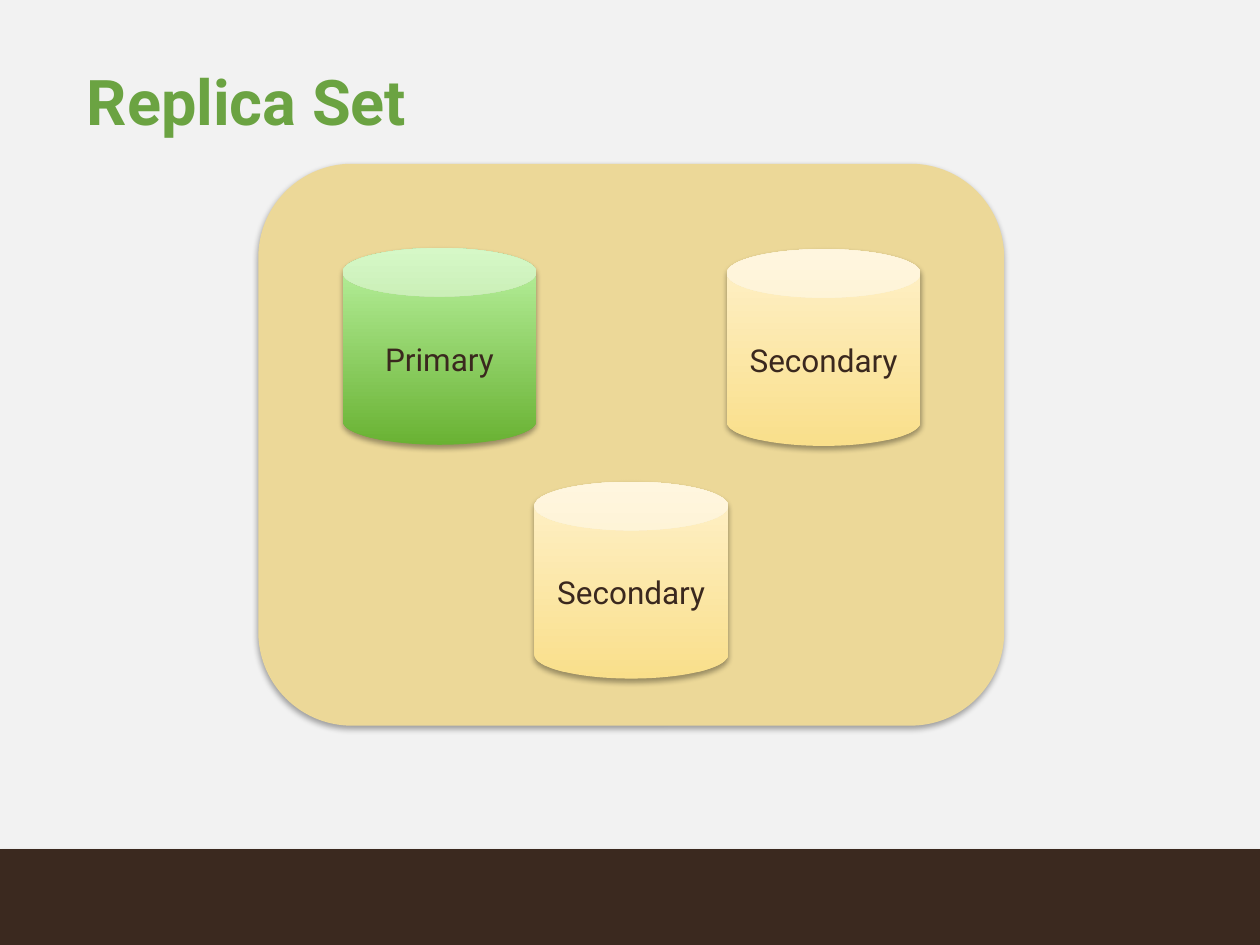
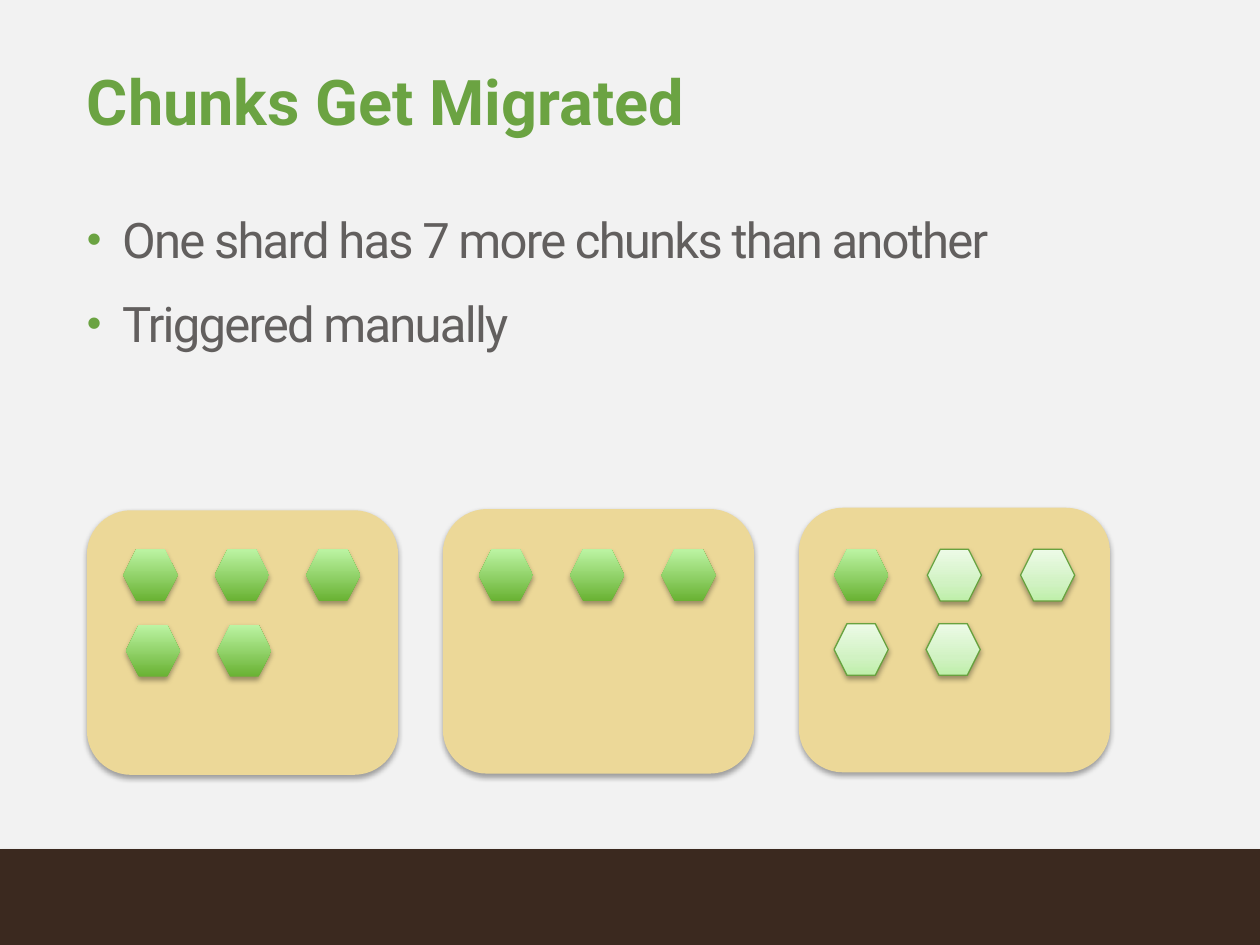
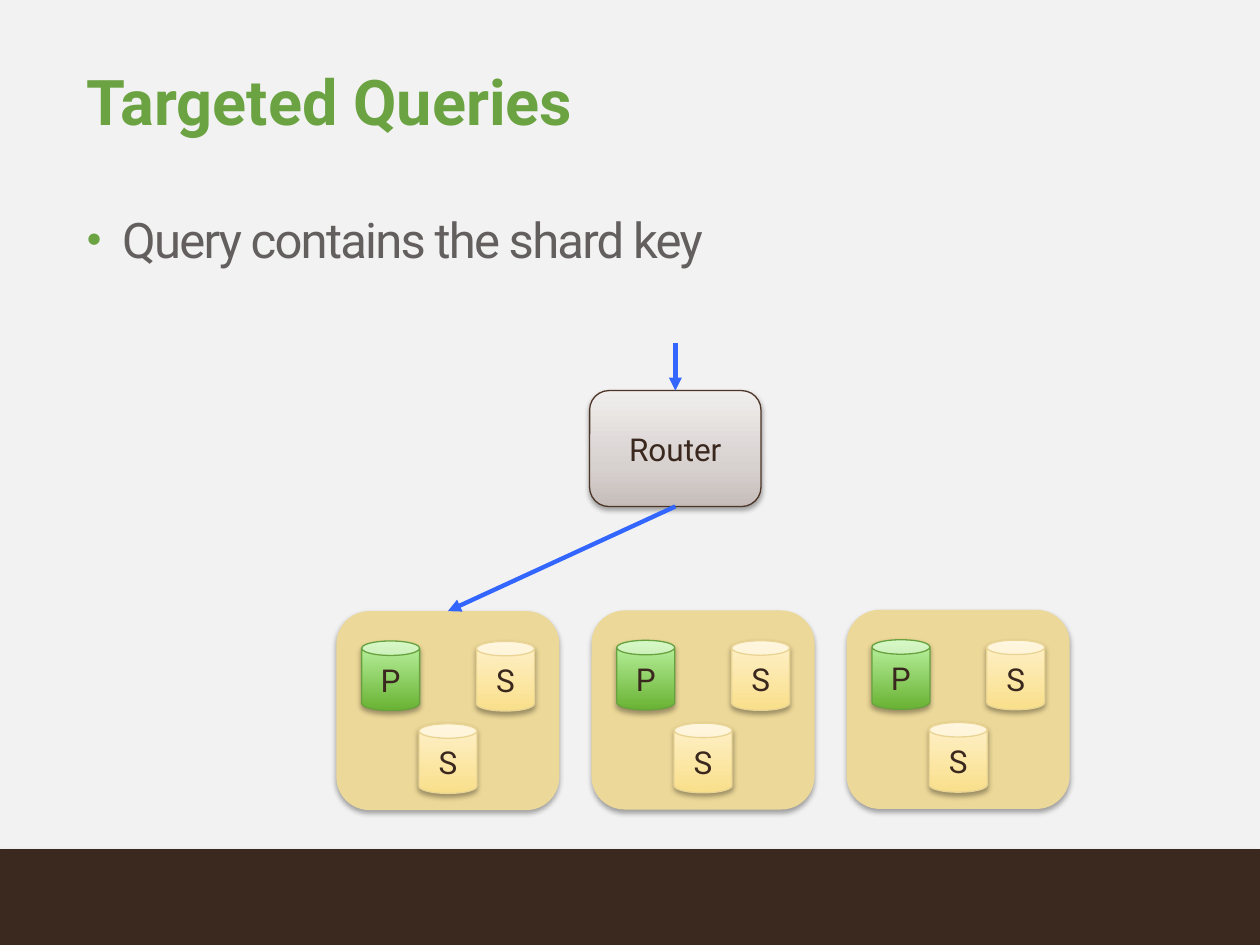
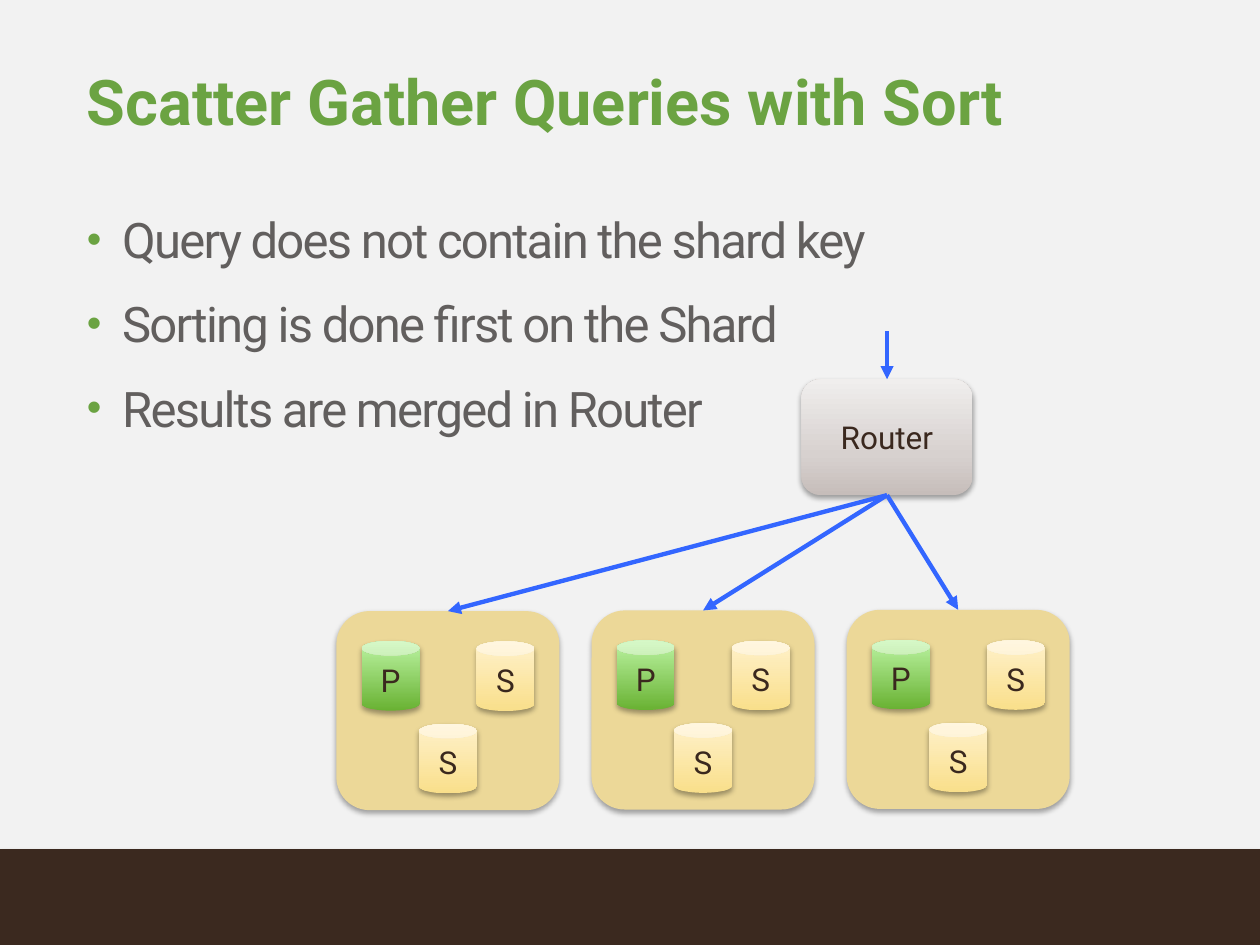
"""Build four slides on replica sets, chunk migration and sharded queries."""
from lxml import etree
from pptx import Presentation
from pptx.dml.color import RGBColor
from pptx.enum.shapes import MSO_CONNECTOR, MSO_SHAPE
from pptx.enum.text import MSO_ANCHOR, PP_ALIGN
from pptx.oxml.ns import qn
from pptx.util import Inches, Pt

RECTANGLE = MSO_SHAPE.RECTANGLE
ROUNDED = MSO_SHAPE.ROUNDED_RECTANGLE
CAN = MSO_SHAPE.CAN
HEXAGON = MSO_SHAPE.HEXAGON
STRAIGHT = MSO_CONNECTOR.STRAIGHT
MIDDLE = MSO_ANCHOR.MIDDLE
CENTER = PP_ALIGN.CENTER

CELL = Inches(0.1)
COLUMNS, ROWS = 100, 75
MARGIN, CONTENT_WIDTH = 6.9, 86.4
BAND_TOP = 67.4

FONT = "Roboto"
BACKGROUND = "F2F2F2"
BAND = "3B291F"
TITLE = "6BA342"
BODY = "625F5E"
LABEL = "3A281E"
ARROW = "3366FF"
SAND = [(0, "ECD898")]
GREEN = [(0, "69B233"), (100, "BCF4A3")]
CREAM = [(0, "F9DF8B"), (100, "FFF1CA")]
PALE_GREEN = [(0, "BEEFA9"), (35, "D1F2C3"), (100, "EDFBE7")]
GREY = [(0, "C6BDBA"), (35, "D7D1CF"), (100, "F0EEED")]
GREEN_LINE, CREAM_LINE, GREY_LINE = "68A23E", "E9D493", "4D3527"


def rgb(color):
    """Turn a hex string into a colour."""
    return RGBColor.from_string(color)


def add_block(slide, kind, left, top, width, height, stops, line=None, label=""):
    """Add a shadowed shape, placed in grid cells, with a plain or gradient fill."""
    shape = slide.shapes.add_shape(
        kind, *(round(length * CELL) for length in (left, top, width, height)))
    if len(stops) == 1:
        shape.fill.solid()
        shape.fill.fore_color.rgb = rgb(stops[0][1])
    else:
        shape.fill.gradient()
        shape.fill.gradient_angle = 90
        stop_list = shape.element.spPr.find(".//" + qn("a:gsLst"))
        for old_stop in list(stop_list):
            stop_list.remove(old_stop)
        for position, color in stops:
            stop = etree.SubElement(stop_list, qn("a:gs"), pos=str(position * 1000))
            etree.SubElement(stop, qn("a:srgbClr"), val=color)
    if line:
        shape.line.color.rgb = rgb(line)
        shape.line.width = Pt(0.75)
    else:
        shape.line.fill.background()
    shape.shadow.inherit = False
    shadow = etree.SubElement(
        shape.element.spPr.find(qn("a:effectLst")), qn("a:outerShdw"),
        blurRad=str(Pt(3.1)), dist=str(Pt(1.8)), dir="5400000", rotWithShape="0")
    shadow_color = etree.SubElement(shadow, qn("a:srgbClr"), val="000000")
    etree.SubElement(shadow_color, qn("a:alpha"), val="35000")
    if label:
        shape.text_frame.text = label
        shape.text_frame.vertical_anchor = MIDDLE
        paragraph = shape.text_frame.paragraphs[0]
        paragraph.alignment = CENTER
        paragraph.font.name = FONT
        paragraph.font.size = Pt(18)
        paragraph.font.color.rgb = rgb(LABEL)


presentation = Presentation()
presentation.slide_width = COLUMNS * CELL
presentation.slide_height = ROWS * CELL

contents = [
    ("Replica Set", []),
    ("Chunks Get Migrated",
     ["One shard has 7 more chunks than another", "Triggered manually"]),
    ("Targeted Queries", ["Query contains the shard key"]),
    ("Scatter Gather Queries with Sort",
     ["Query does not contain the shard key",
      "Sorting is done first on the Shard",
      "Results are merged in Router"]),
]

for title, bullets in contents:
    slide = presentation.slides.add_slide(presentation.slide_layouts[6])
    slide.background.fill.solid()
    slide.background.fill.fore_color.rgb = rgb(BACKGROUND)
    add_block(slide, RECTANGLE, 0, BAND_TOP, COLUMNS, ROWS - BAND_TOP, [(0, BAND)])

    for top, height, lines in ((3.7, 9.3, [title]), (16.4, 47.8, bullets)):
        if not lines:
            continue
        box = slide.shapes.add_textbox(
            *(round(length * CELL) for length in (MARGIN, top, CONTENT_WIDTH, height)))
        frame = box.text_frame
        frame.word_wrap = True
        frame.margin_left = frame.margin_right = frame.margin_top = frame.margin_bottom = 0
        frame.text = "\n".join(lines)
        if lines is not bullets:
            frame.vertical_anchor = MIDDLE
            paragraph = frame.paragraphs[0]
            paragraph.line_spacing = 0.9
            paragraph.font.name = FONT
            paragraph.font.size = Pt(36)
            paragraph.font.bold = True
            paragraph.font.color.rgb = rgb(TITLE)
            continue
        for number, paragraph in enumerate(frame.paragraphs):
            properties = paragraph._p.get_or_add_pPr()
            properties.set("marL", str(Inches(0.28)))
            properties.set("indent", str(-Inches(0.28)))
            bullet_color = etree.SubElement(properties, qn("a:buClr"))
            etree.SubElement(bullet_color, qn("a:srgbClr"), val=TITLE)
            etree.SubElement(properties, qn("a:buSzPct"), val="85000")
            etree.SubElement(properties, qn("a:buFont"), typeface="Arial")
            etree.SubElement(properties, qn("a:buChar"), char="•")
            paragraph.line_spacing = Pt(35.4)
            paragraph.space_before = Pt(12.7 if number else 0)
            run = paragraph.runs[0]
            run.font.name = FONT
            run.font.size = Pt(28)
            run.font.color.rgb = rgb(BODY)
            run._r.get_or_add_rPr().set("spc", "-100")

replica_slide, chunk_slide, targeted_slide, scatter_slide = presentation.slides

shard_places = [(26.7 + 20.25 * index, 48.5 - 0.05 * index) for index in range(3)]
replica_sets = [(replica_slide, 20.5, 13, 59.2, 44.6, "Primary", "Secondary", None, None)]
for left, top in shard_places:
    replica_sets.append(
        (targeted_slide, left, top, 17.7, 15.8, "P", "S", GREEN_LINE, CREAM_LINE))
    replica_sets.append((scatter_slide, left, top, 17.7, 15.8, "P", "S", None, None))

for slide, left, top, width, height, primary, secondary, green_line, cream_line in replica_sets:
    add_block(slide, ROUNDED, left, top, width, height, SAND)
    for across, down, stops, line, label in (
            (11.3, 15, GREEN, green_line, primary),
            (62.8, 15.2, CREAM, cream_line, secondary),
            (37, 56.6, CREAM, cream_line, secondary)):
        add_block(slide, CAN, left + width * across / 100, top + height * down / 100,
                  width * 0.26, height * 0.35, stops, line, label)

for index in range(3):
    add_block(chunk_slide, ROUNDED, MARGIN + 28.25 * index, 40.5 - 0.1 * index,
              24.7, 21, SAND)

chunk_rows = [
    (9.8, 43.6, 7.25, 3, 0),
    (10, 49.6, 7.25, 2, 0),
    (38, 43.6, 7.25, 3, 0),
    (66.2, 43.6, 7.4, 1, 2),
    (66.2, 49.5, 7.3, 0, 2),
]
for left, top, pitch, settled, migrated in chunk_rows:
    for index in range(settled + migrated):
        stops, line = (GREEN, None) if index < settled else (PALE_GREEN, GREEN_LINE)
        add_block(chunk_slide, HEXAGON, left + pitch * index, top, 4.3, 4.1, stops, line)

for slide, left, top, line, targets in (
        (targeted_slide, 46.8, 31, GREY_LINE, shard_places[:1]),
        (scatter_slide, 63.6, 30.1, None, shard_places)):
    add_block(slide, ROUNDED, left, top, 13.6, 9.2, GREY, line, "Router")
    center, bottom = left + 6.8, top + 9.2
    arrows = [(center, top - 3.8, center, top)]
    arrows += [(center, bottom, shard_left + 8.85, shard_top)
               for shard_left, shard_top in targets]
    for ends in arrows:
        connector = slide.shapes.add_connector(
            STRAIGHT, *(round(length * CELL) for length in ends))
        connector.line.color.rgb = rgb(ARROW)
        connector.line.width = Pt(2.5)
        properties = connector.element.spPr
        etree.SubElement(properties.find(qn("a:ln")), qn("a:tailEnd"), type="triangle")
        etree.SubElement(properties, qn("a:effectLst"))

presentation.save("out.pptx")
